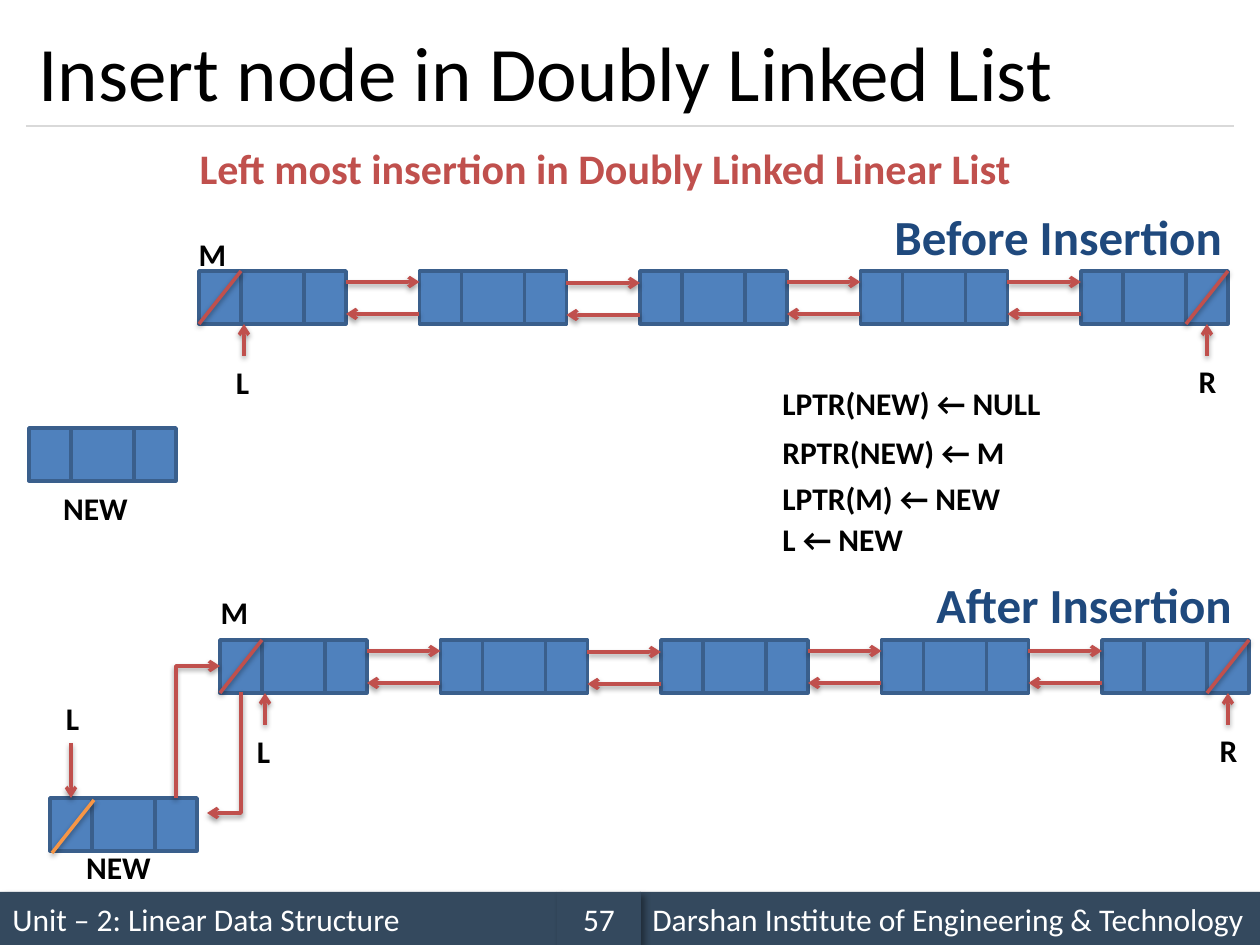
from dataclasses import dataclass

from lxml.etree import SubElement
from pptx import Presentation
from pptx.dml.color import RGBColor
from pptx.enum.shapes import MSO_CONNECTOR, MSO_SHAPE
from pptx.enum.text import MSO_ANCHOR, MSO_AUTO_SIZE, PP_ALIGN
from pptx.oxml.ns import qn
from pptx.util import Emu, Pt

PX = 914400 / 126


@dataclass(frozen=True)
class Theme:
    font: str = "Calibri"
    black: str = "000000"
    white: str = "FFFFFF"
    footer: str = "34495E"
    rule: str = "D9D9D9"
    node: str = "4F81BD"
    node_edge: str = "3A5F8C"
    link: str = "C0504D"
    new_null: str = "F79646"
    stage: str = "1F497D"
    title_size: int = 44
    stage_size: int = 28
    subtitle_size: int = 24
    label_size: int = 18
    line_width: int = 2


THEME = Theme()
CELL_WIDTHS = (42, 63, 42)
NODE_WIDTH = sum(CELL_WIDTHS)
NODE_HEIGHT = 53
NODE_COUNT = 5
BOTTOM, TOP = 2, 0


def px(value):
    return Emu(round(value * PX))


def box_px(*values):
    return [px(value) for value in values]


def rgb(color):
    return RGBColor.from_string(color)


def style_paragraph(paragraph, size, color, bold, align):
    paragraph.alignment = align
    paragraph.font.name = THEME.font
    paragraph.font.size = Pt(size)
    paragraph.font.bold = bold
    paragraph.font.color.rgb = rgb(color)


def add_shadow(shape, alpha, blur, distance, angle):
    """Append an outer shadow; fill and line must be set before."""
    effects = SubElement(shape.element.spPr, qn("a:effectLst"))
    shadow = SubElement(effects, qn("a:outerShdw"), blurRad=str(Pt(blur)),
                        dist=str(Pt(distance)), dir=str(angle * 60000), rotWithShape="0")
    color = SubElement(shadow, qn("a:srgbClr"), val=THEME.black)
    SubElement(color, qn("a:alpha"), val=str(alpha * 1000))


def style_link(shape, color, arrow):
    shape.line.color.rgb = rgb(color)
    shape.line.width = Pt(THEME.line_width)
    if arrow:
        SubElement(shape.element.spPr.get_or_add_ln(), qn("a:tailEnd"), type="arrow")
    add_shadow(shape, 38, 3.1, 1.6, 90)


def add_link(slide, start, end, color=THEME.link, arrow=True):
    connector = slide.shapes.add_connector(MSO_CONNECTOR.STRAIGHT, *box_px(*start, *end))
    style_link(connector, color, arrow)
    return connector


def add_bent_link(slide, start, *others):
    builder = slide.shapes.build_freeform(*start, scale=PX)
    builder.add_line_segments(others, close=False)
    shape = builder.convert_to_shape()
    shape.fill.background()
    style_link(shape, THEME.link, True)


def add_null_mark(slide, left, top, color=THEME.link):
    add_link(slide, (left + CELL_WIDTHS[0], top), (left, top + NODE_HEIGHT), color, arrow=False)


def add_node(slide, left, top):
    """Draw a grouped three-cell node and return its cells."""
    group = slide.shapes.add_group_shape()
    cells = []
    for width in CELL_WIDTHS:
        cell = group.shapes.add_shape(MSO_SHAPE.RECTANGLE, *box_px(left, top, width, NODE_HEIGHT))
        cell.fill.solid()
        cell.fill.fore_color.rgb = rgb(THEME.node)
        cell.line.color.rgb = rgb(THEME.node_edge)
        cell.line.width = Pt(THEME.line_width)
        cell.shadow.inherit = False
        cells.append(cell)
        left += width
    return cells


def add_label(slide, text, box, size=THEME.label_size, color=THEME.black, align=PP_ALIGN.CENTER):
    frame = slide.shapes.add_textbox(*box_px(*box)).text_frame
    frame.word_wrap = False
    frame.auto_size = MSO_AUTO_SIZE.SHAPE_TO_FIT_TEXT
    frame.text = text
    style_paragraph(frame.paragraphs[0], size, color, True, align)


def add_list(slide, left, top):
    """Draw the linked nodes with null marks and the L and R pointers."""
    lefts = [left + 220.5 * index for index in range(NODE_COUNT)]
    nodes = [add_node(slide, node_left, top) for node_left in lefts]
    for index, (node_left, next_left) in enumerate(zip(lefts, lefts[1:])):
        right = node_left + NODE_WIDTH
        forward = top + 11 + (index == 1)
        add_link(slide, (right, forward), (next_left, forward))
        add_link(slide, (next_left, forward + 32), (right, forward + 32))

    last_cell = lefts[-1] + NODE_WIDTH - CELL_WIDTHS[2]
    add_null_mark(slide, left, top)
    add_null_mark(slide, last_cell, top)

    bottom = top + NODE_HEIGHT
    add_link(slide, (left + 45, bottom + 32), (left + 45, bottom))
    right_pointer = last_cell + CELL_WIDTHS[2] / 2
    link = add_link(slide, (right_pointer, bottom + 32), (right_pointer, bottom))
    link.end_connect(nodes[-1][2], BOTTOM)
    add_label(slide, "L", (left + 24, bottom + 33, 39, 50))
    add_label(slide, "R", (right_pointer - 21, bottom + 32, 43, 50))


def add_title(slide, text):
    title = slide.shapes.title
    title.left, title.top, title.width, title.height = box_px(26, 15, 1208, 111)
    frame = title.text_frame
    frame.text = text
    frame.vertical_anchor = MSO_ANCHOR.MIDDLE
    style_paragraph(frame.paragraphs[0], THEME.title_size, THEME.black, False, PP_ALIGN.LEFT)
    rule = slide.shapes.add_connector(MSO_CONNECTOR.STRAIGHT, *box_px(26, 126, 1234, 126))
    rule.line.color.rgb = rgb(THEME.rule)
    rule.line.width = Pt(0.75)
    SubElement(rule.element.spPr, qn("a:effectLst"))


def add_footer(slide, text, left, width, align=PP_ALIGN.LEFT):
    bar = slide.shapes.add_shape(MSO_SHAPE.RECTANGLE, *box_px(left, 892, width, 53))
    bar.fill.solid()
    bar.fill.fore_color.rgb = rgb(THEME.footer)
    bar.line.fill.background()
    add_shadow(bar, 40, 4, 3, 45)
    bar.text_frame.text = text
    bar.text_frame.vertical_anchor = MSO_ANCHOR.MIDDLE
    style_paragraph(bar.text_frame.paragraphs[0], THEME.label_size, THEME.white, False, align)


def main():
    presentation = Presentation()
    presentation.slide_width, presentation.slide_height = box_px(1260, 945)
    slide = presentation.slides.add_slide(presentation.slide_layouts[5])

    add_footer(slide, "Unit – 2: Linear Data Structure", 0, 557)
    add_footer(slide, "Darshan Institute of Engineering & Technology", 640, 620)
    add_footer(slide, "57", 557, 84, PP_ALIGN.CENTER)
    add_title(slide, "Insert node in Doubly Linked List")
    add_label(slide, "Left most insertion in Doubly Linked Linear List", (183, 136, 845, 63),
              THEME.subtitle_size, THEME.link)

    add_list(slide, 199, 271)
    add_label(slide, "M", (186, 229, 53, 50))
    add_node(slide, 29, 428)
    add_label(slide, "NEW", (50, 483, 91, 50))

    steps = (("LPTR(NEW) ← NULL", 378, 289), ("RPTR(NEW) ← M", 427, 253),
             ("LPTR(M) ← NEW", 473, 248), ("L ← NEW", 514, 150))
    for text, top, width in steps:
        add_label(slide, text, (770, top, width, 50), align=PP_ALIGN.LEFT)

    add_list(slide, 220, 640)
    add_label(slide, "M", (208, 587, 53, 50))
    new_cells = add_node(slide, 50, 798)
    add_null_mark(slide, 52, 800, THEME.new_null)
    add_label(slide, "NEW", (73, 842, 91, 50))
    add_label(slide, "L", (53, 693, 39, 50))
    add_link(slide, (71, 743), (71, 798)).end_connect(new_cells[0], TOP)
    add_bent_link(slide, (241, 692), (241, 813), (207, 813))
    add_bent_link(slide, (176, 798), (176, 666), (220, 666))

    for text, box in (("Before Insertion", (882, 200, 357, 72)),
                      ("After Insertion", (924, 568, 326, 72))):
        add_label(slide, text, box, THEME.stage_size, THEME.stage, PP_ALIGN.LEFT)

    presentation.save("out.pptx")


if __name__ == "__main__":
    main()
